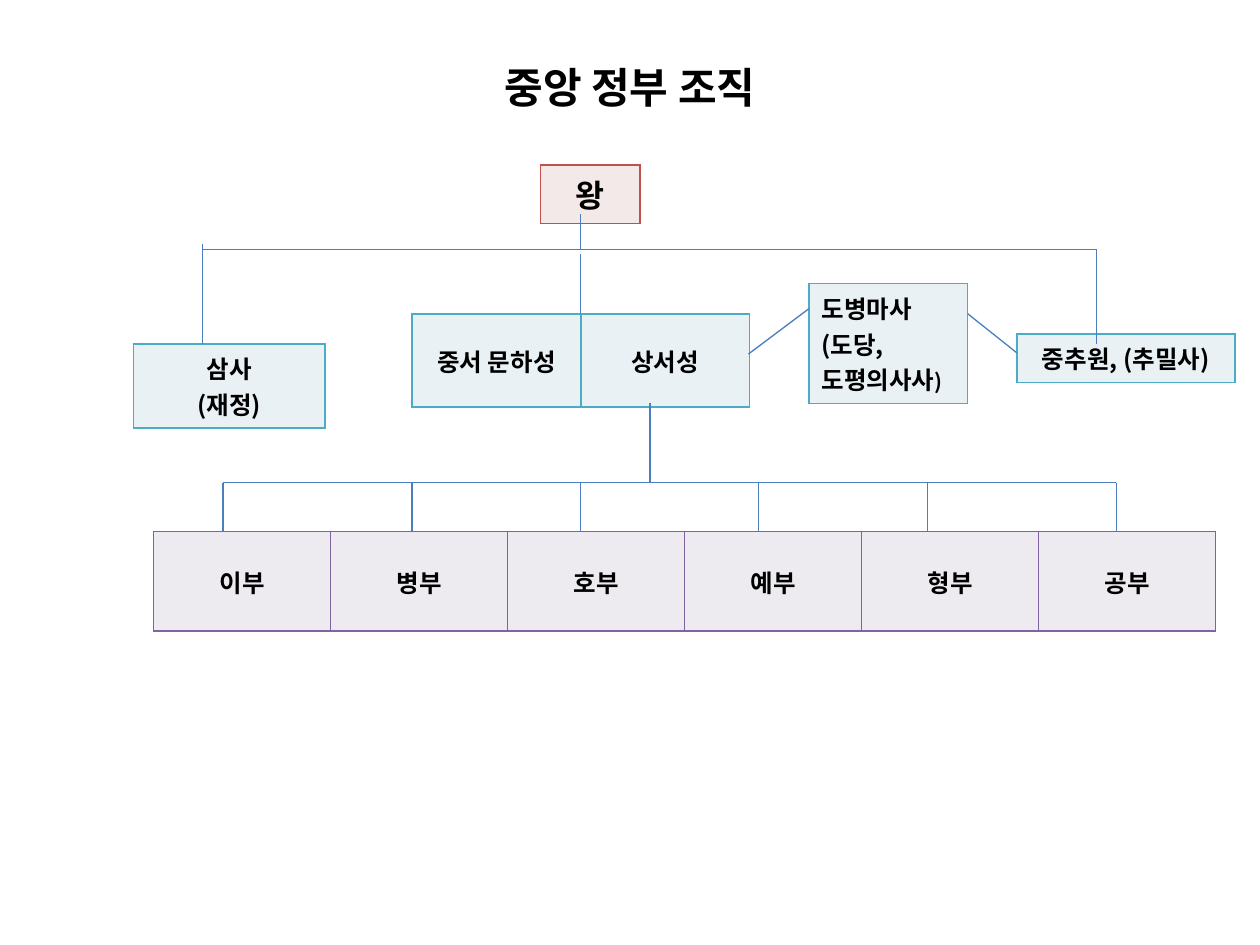
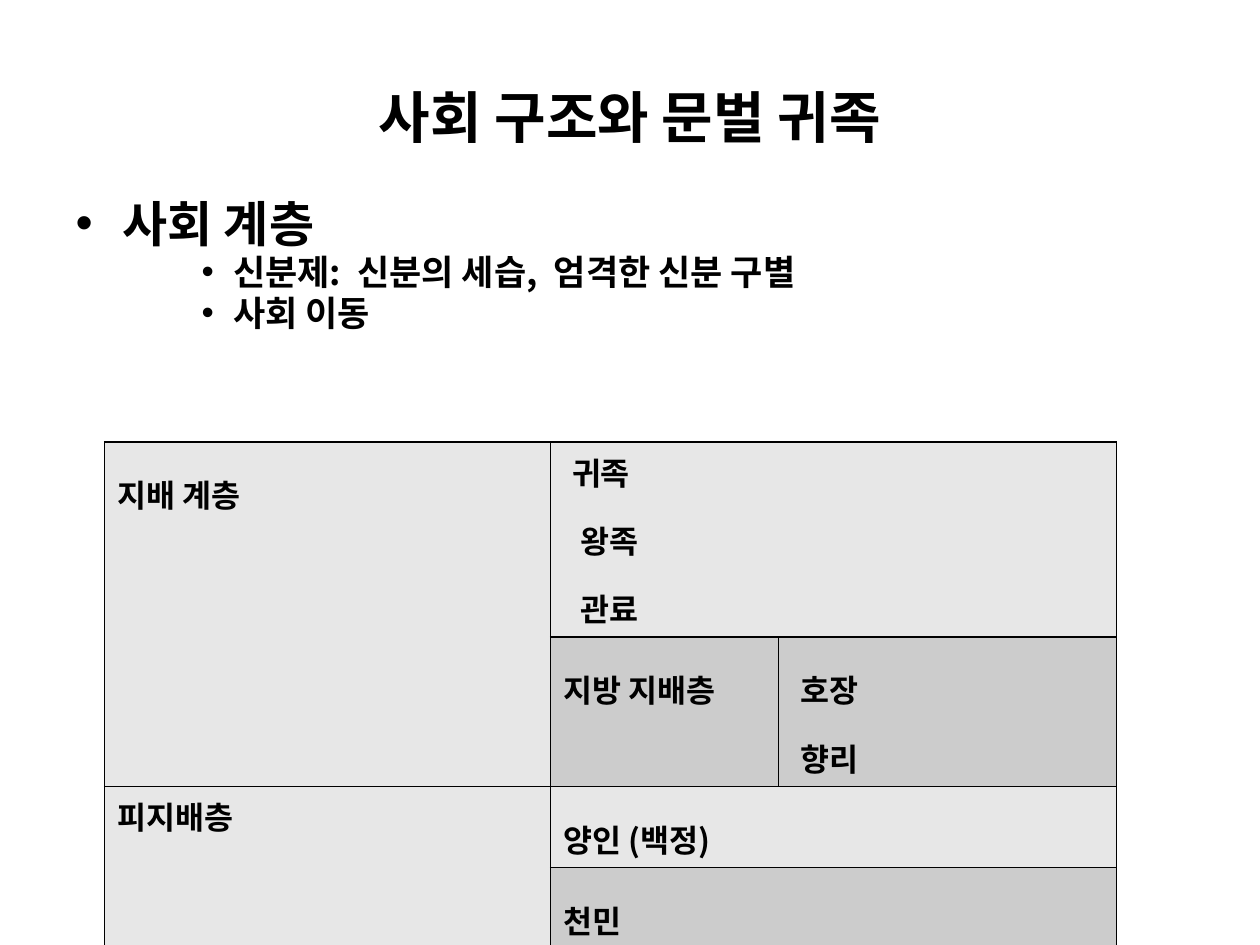
import pptx
import pptx.util
import pptx.dml.color
import pptx.enum.shapes
import pptx.enum.text
import pptx.oxml.ns
from dataclasses import dataclass
from lxml import etree

Inches = pptx.util.Inches
Pt = pptx.util.Pt
qn = pptx.oxml.ns.qn
ALIGN = pptx.enum.text.PP_ALIGN
ANCHOR = pptx.enum.text.MSO_ANCHOR


@dataclass(frozen=True)
class Theme:
    font: str = "Noto Sans CJK KR"
    ink: str = "000000"
    line: str = "4B7EBC"
    king: tuple = ("F4E9E9", "C0504D")
    office: tuple = ("E9F1F5", "4BACC6")
    ministry: tuple = ("EDEAF0", "8064A2")
    light: str = "E7E7E7"
    dark: str = "CCCCCC"
    chart_title: int = 24
    page_title: int = 32
    heading: int = 28
    point: int = 20
    large: int = 18
    label: int = 14
    small: int = 12
    border: float = 1
    connector: float = 0.75


THEME = Theme()

GOVERNMENT_TITLE = "중앙 정부 조직"
OFFICES = [
    ((4.29, 1.31, 0.79, 0.39), ["왕"], THEME.king, THEME.large, ANCHOR.TOP, ALIGN.CENTER),
    ((8.07, 2.65, 1.73, 0.24), ["중추원, (추밀사)"], THEME.office, THEME.label, ANCHOR.TOP, ALIGN.CENTER),
    ((3.27, 2.49, 2.68, 0.74), ["중서 문하성", "상서성"], THEME.office, THEME.label, ANCHOR.MIDDLE, ALIGN.CENTER),
    ((1.06, 2.73, 1.52, 0.5), ["삼사\n(재정)"], THEME.office, THEME.label, ANCHOR.TOP, ALIGN.CENTER),
    ((6.42, 2.25, 1.26, 0.39), ["도병마사(도당, 도평의사사"], THEME.office, THEME.label, ANCHOR.MIDDLE, ALIGN.LEFT),
    ((1.22, 4.22, 8.43, 0.79), ["이부", "병부", "호부", "예부", "형부", "공부"],
     THEME.ministry, THEME.label, ANCHOR.MIDDLE, ALIGN.CENTER),
]
COUNCIL_INDEX = 4
COUNCIL_CLOSING = ")"

UPPER_BUS, LOWER_BUS, MINISTRY_TOP = 1.98, 3.83, 4.22
MINISTRY_DROPS = [1.77, 3.27, 4.61, 6.02, 7.36, 8.86]
LINKS = [
    (4.61, 1.7, 4.61, UPPER_BUS),
    (1.61, 1.94, 1.61, 2.73),
    (4.61, 2.02, 4.61, 2.49),
    (1.61, UPPER_BUS, 8.7, UPPER_BUS),
    (8.7, UPPER_BUS, 8.7, 2.73),
    (5.94, 2.81, 6.42, 2.45),
    (7.68, 2.49, 8.07, 2.8),
    (5.16, 3.2, 5.16, LOWER_BUS),
    (MINISTRY_DROPS[0], LOWER_BUS, MINISTRY_DROPS[-1], LOWER_BUS),
]

SOCIETY_TITLE = "사회 구조와 문벌 귀족"
POINTS = [
    ("사회 계층", 0, THEME.heading, 1.2),
    ("신분제:  신분의 세습,  엄격한 신분 구별", 2, THEME.point, 0.8),
    ("사회 이동", 2, THEME.point, 0.8),
]
CLASS_COLUMNS = [3.54, 1.81, 2.68]
CLASS_ROWS = [1.05, 0.94, 0.62, 0.22]
CLASS_CELLS = [
    ((0, 0), (1, 0), THEME.light, [("지배 계층", 0, 1.5)]),
    ((0, 1), (0, 2), THEME.light, [("귀족", 0.07, 1), ("왕족", 0.14, 1.5), ("관료", 0.14, 1.5)]),
    ((1, 1), (1, 1), THEME.dark, [("지방 지배층", 0, 1.5)]),
    ((1, 2), (1, 2), THEME.dark, [("호장", 0.07, 1.5), ("향리", 0.07, 1.5)]),
    ((2, 0), (3, 0), THEME.light, [("피지배층", 0, 1)]),
    ((2, 1), (2, 2), THEME.light, [("양인 (백정)", 0, 1.5)]),
    ((3, 1), (3, 2), THEME.dark, [("천민", 0, 1.5)]),
]


def rgb(value):
    return pptx.dml.color.RGBColor.from_string(value)


def style_paragraph(para, size, align=None, spacing=None, indent=0):
    para.font.name = THEME.font
    para.font.size = Pt(size)
    para.font.bold = True
    para.font.color.rgb = rgb(THEME.ink)
    properties = para._p.get_or_add_pPr()
    etree.SubElement(properties.find(qn("a:defRPr")), qn("a:ea"), typeface=THEME.font)
    if align is not None:
        para.alignment = align
    if spacing is not None:
        para.line_spacing = float(spacing)
    if indent:
        properties.set("marL", str(Inches(indent)))


def place(shape, left, top, width, height):
    shape.left, shape.top = Inches(left), Inches(top)
    shape.width, shape.height = Inches(width), Inches(height)


def add_page(deck, layout, title, size, title_height):
    page = deck.slides.add_slide(deck.slide_layouts[layout])
    box = page.shapes.title
    place(box, 0.5, 0.3, 9, title_height)
    box.text_frame.text = title
    box.text_frame.vertical_anchor = ANCHOR.MIDDLE
    style_paragraph(box.text_frame.paragraphs[0], size, ALIGN.CENTER)
    return page


def format_cell(cell, fill, border):
    cell.fill.solid()
    cell.fill.fore_color.rgb = rgb(fill)
    properties = cell._tc.get_or_add_tcPr()
    for position, side in enumerate(("lnL", "lnR", "lnT", "lnB")):
        edge = etree.Element(qn(f"a:{side}"), w=str(Pt(THEME.border)))
        paint = etree.SubElement(edge, qn("a:solidFill"))
        etree.SubElement(paint, qn("a:srgbClr"), val=border)
        properties.insert(position, edge)


def add_grid(page, left, top, columns, rows):
    frame = page.shapes.add_table(len(rows), len(columns), Inches(left), Inches(top),
                                  Inches(sum(columns)), Inches(sum(rows)))
    table = frame.table
    table.first_row = table.horz_banding = False
    for column, width in zip(table.columns, columns):
        column.width = Inches(width)
    for row, height in zip(table.rows, rows):
        row.height = Inches(height)
    return table


def add_office(page, bounds, labels, colors, size, anchor, align):
    left, top, width, height = bounds
    table = add_grid(page, left, top, [width / len(labels)] * len(labels), [height])
    for cell, label in zip(table.rows[0].cells, labels):
        format_cell(cell, *colors)
        cell.vertical_anchor = anchor
        cell.text_frame.text = label
        for para in cell.text_frame.paragraphs:
            style_paragraph(para, size, align)
    return table


def add_link(page, *ends):
    link = page.shapes.add_connector(pptx.enum.shapes.MSO_CONNECTOR.STRAIGHT, *map(Inches, ends))
    link.line.color.rgb = rgb(THEME.line)
    link.line.width = Pt(THEME.connector)
    etree.SubElement(link._element.spPr, qn("a:effectLst"))


def build_government(deck):
    page = add_page(deck, 5, GOVERNMENT_TITLE, THEME.chart_title, 0.77)
    tables = [add_office(page, *office) for office in OFFICES]
    council = tables[COUNCIL_INDEX].cell(0, 0).text_frame.paragraphs[0]
    span = council.add_run()
    span.text = COUNCIL_CLOSING
    span.font.size = Pt(THEME.small)
    drops = [(x, LOWER_BUS, x, MINISTRY_TOP) for x in MINISTRY_DROPS]
    for ends in LINKS + drops:
        add_link(page, *ends)


def build_society(deck):
    page = add_page(deck, 1, SOCIETY_TITLE, THEME.page_title, 1.25)
    body = page.placeholders[1]
    place(body, 0.5, 1.39, 9.07, 5.75)
    body.text_frame.auto_size = pptx.enum.text.MSO_AUTO_SIZE.NONE
    body.text_frame.text = "\n".join(text for text, *_ in POINTS)
    for para, (_, level, size, spacing) in zip(body.text_frame.paragraphs, POINTS):
        para.level = level
        style_paragraph(para, size, spacing=spacing)

    table = add_grid(page, 0.83, 3.51, CLASS_COLUMNS, CLASS_ROWS)
    for first, last, fill, lines in CLASS_CELLS:
        for row in range(first[0], last[0] + 1):
            for column in range(first[1], last[1] + 1):
                format_cell(table.cell(row, column), fill, THEME.ink)
        cell = table.cell(*first)
        if first != last:
            cell.merge(table.cell(*last))
        cell.text_frame.text = "\n".join(text for text, *_ in lines)
        for para, (_, indent, spacing) in zip(cell.text_frame.paragraphs, lines):
            style_paragraph(para, THEME.large, spacing=spacing, indent=indent)


def main():
    deck = pptx.Presentation()
    deck.slide_width, deck.slide_height = Inches(10), Inches(7.5)
    build_government(deck)
    build_society(deck)
    deck.save("out.pptx")


if __name__ == "__main__":
    main()
